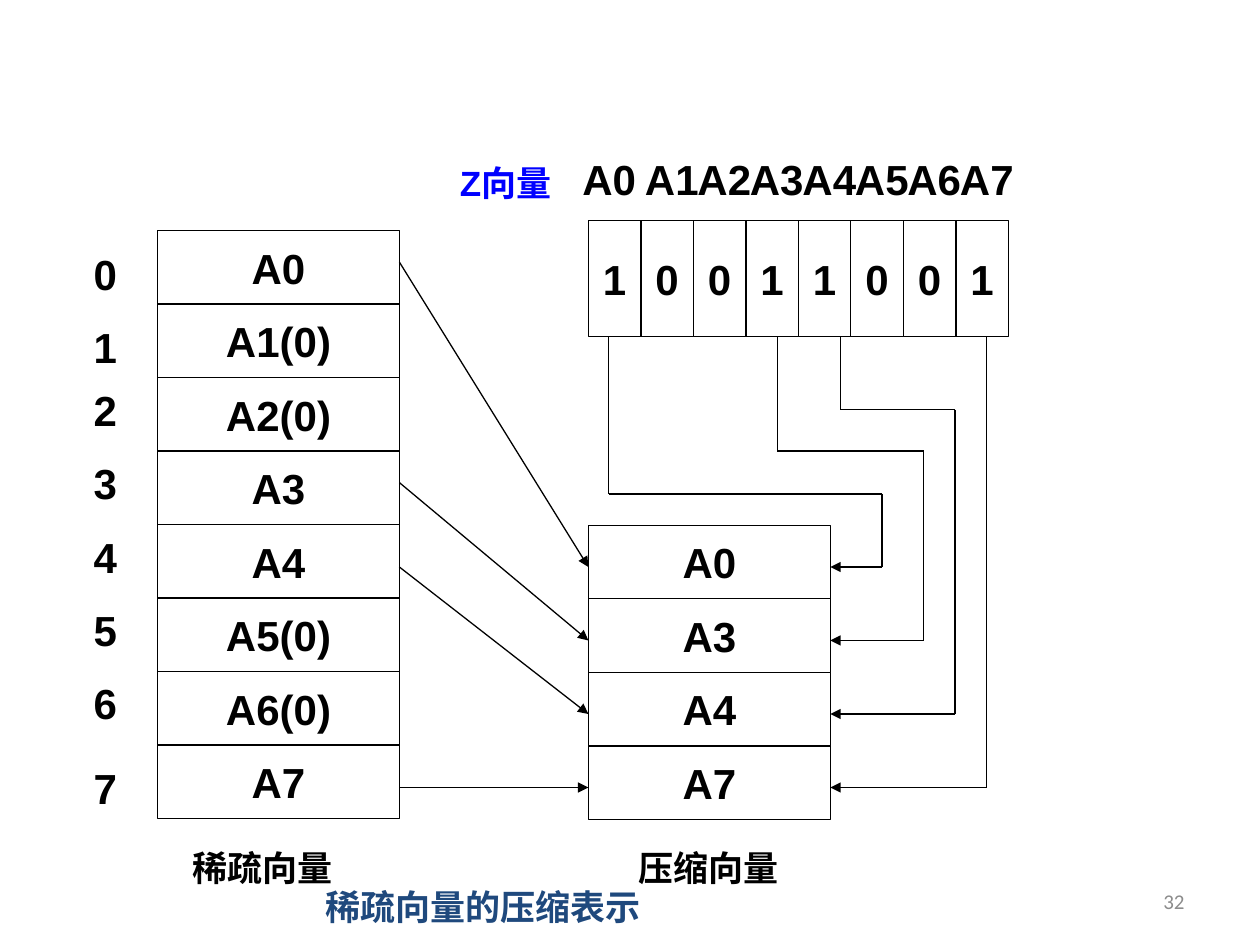
"""Build the slide on compressed storage of a sparse vector."""
from itertools import pairwise
from lxml.etree import SubElement
from pptx import Presentation
from pptx.dml.color import RGBColor
from pptx.enum.shapes import MSO_CONNECTOR, MSO_SHAPE
from pptx.enum.text import MSO_ANCHOR, MSO_AUTO_SIZE, PP_ALIGN
from pptx.oxml.ns import qn
from pptx.util import Inches, Pt

BLACK = RGBColor(0, 0, 0)
WHITE = RGBColor(255, 255, 255)
BLUE = RGBColor(0, 0, 255)
NAVY = RGBColor(0x1F, 0x49, 0x7D)
GRAY = RGBColor(0x8C, 0x8C, 0x8C)

deck = Presentation()
deck.slide_width, deck.slide_height = Inches(10), Inches(7.5)
slide = deck.slides.add_slide(deck.slide_layouts[5])
shapes = slide.shapes


def write(text, x, y, w, h, shape=None, box=False, size=24, color=BLACK, bold=True,
          font="Arial", align=PP_ALIGN.CENTER, anchor=MSO_ANCHOR.TOP):
    area = [Inches(v) for v in (x, y, w, h)]
    if box:
        shape = shapes.add_shape(MSO_SHAPE.RECTANGLE, *area)
        shape.shadow.inherit = False
        shape.fill.solid()
        shape.fill.fore_color.rgb = WHITE
        shape.line.color.rgb = BLACK
        shape.line.width = Pt(0.75)
        anchor = MSO_ANCHOR.MIDDLE
    elif shape is None:
        shape = shapes.add_textbox(*area)
    else:
        shape.left, shape.top, shape.width, shape.height = area
    frame = shape.text_frame
    frame.text = text
    frame.word_wrap = not box
    frame.auto_size = MSO_AUTO_SIZE.NONE
    frame.vertical_anchor = anchor
    para = frame.paragraphs[0]
    para.alignment = align
    face = para.runs[0].font
    face.name, face.size, face.bold = font, Pt(size), bold
    face.color.rgb = color


def draw(start, end, arrow=False):
    line = shapes.add_connector(MSO_CONNECTOR.STRAIGHT, *[Inches(v) for v in (*start, *end)])
    line.line.color.rgb = BLACK
    line.line.width = Pt(0.75)
    if arrow:
        SubElement(line.line._get_or_add_ln(), qn("a:tailEnd"), type="triangle")
    SubElement(line._element.spPr, qn("a:effectLst"))


row, col, wide = 7 / 12, 5 / 12, 1.92
left, mid = 1.25, 4.67
top, half = 1.83, 4.17

write("稀疏向量的压缩表示", 1, 6.98, 5.67, 0.43, shape=shapes.title, size=20, color=NAVY)

for i, bit in enumerate("10011001"):
    write(f"A{i}", 4.58 + i * col if i else 4.5, 1.17, 0.67, 0.5)
    write(bit, mid + i * col, 1.75, col, 0.92, box=True)
    name = f"A{i}" if bit == "1" else f"A{i}(0)"
    write(name, left, top + i * row, wide, row, box=True)

for i, name in enumerate(["A0", "A3", "A4", "A7"]):
    write(name, mid, half + i * row, wide, row, box=True)

for i, y in enumerate([1.92, 2.5, 3, 3.58, 4.17, 4.75, 5.33, 6]):
    write(str(i), 0.5, y, 0.67, 0.5)

write("稀疏向量", 1.25, 6.67, 1.67, 0.43, size=20)
write("压缩向量", 4.75, 6.67, 1.75, 0.43, size=20)
write("Z向量 ", 3.42, 1.23, 1.25, 0.43, size=20, color=BLUE)

ends = [4.5 + i * row for i in range(4)]
for start, end in zip([2.08, 3.83, 4.5, 6.25], ends):
    draw((left + wide, start), (mid, end), arrow=True)

turns = [(4.83, 3.92, 7), (6.17, 3.58, 7.33), (6.67, 3.25, 7.58), (7.83, None, 7.83)]
for (x, bend, side), end in zip(turns, ends):
    route = [(x, 2.67)]
    if bend:
        route += [(x, bend), (side, bend)]
    route.append((side, end))
    for a, b in pairwise(route):
        draw(a, b)
    draw((side, end), (mid + wide, end), arrow=True)

write("32", 7.17, 6.95, 2.33, 0.4, size=12, color=GRAY, bold=False, font="Calibri",
      align=PP_ALIGN.RIGHT, anchor=MSO_ANCHOR.MIDDLE)

deck.save("out.pptx")
